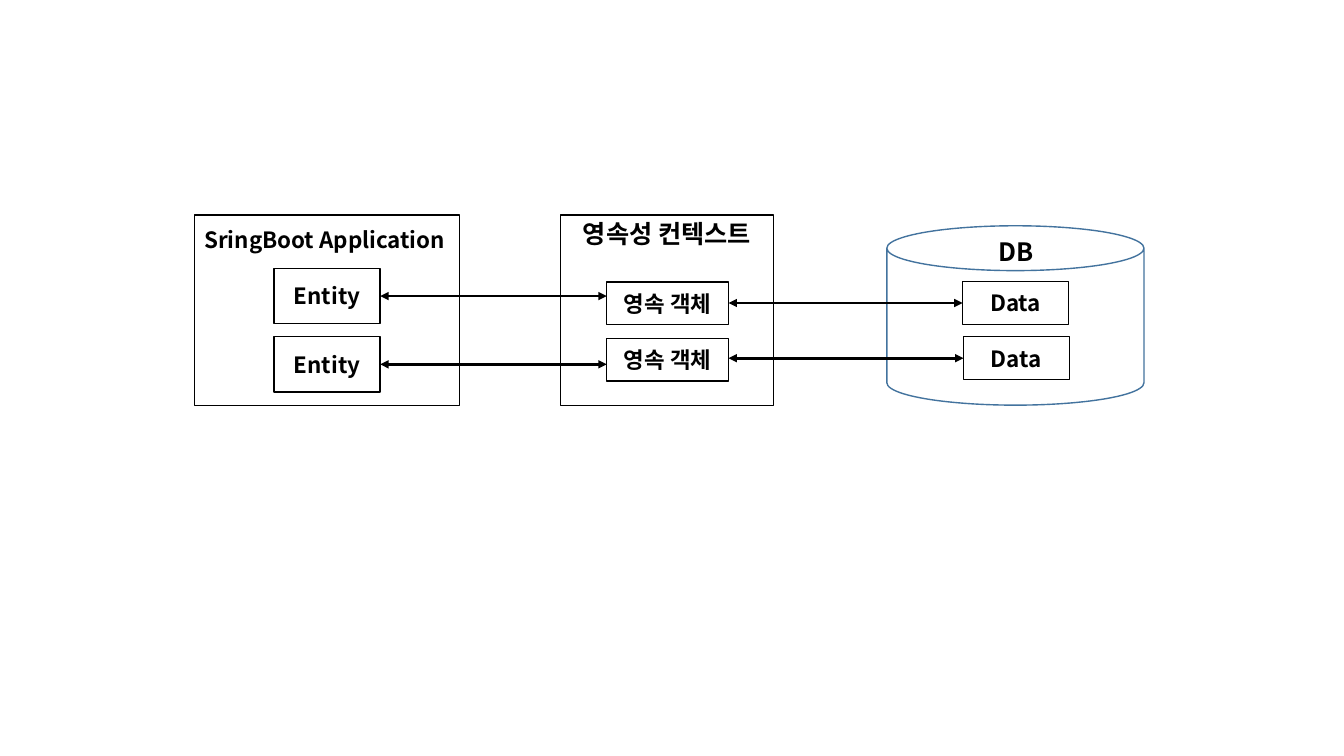
from lxml import etree
from pptx import Presentation
from pptx.dml.color import RGBColor
from pptx.enum.shapes import MSO_CONNECTOR, MSO_SHAPE
from pptx.enum.text import MSO_ANCHOR, PP_ALIGN
from pptx.oxml.ns import qn
from pptx.util import Cm, Pt

BLACK = RGBColor(0x00, 0x00, 0x00)
WHITE = RGBColor(0xFF, 0xFF, 0xFF)
CAN_BLUE = RGBColor(0x43, 0x73, 0x9E)
FONT = "Noto Sans CJK KR"

# Positions and sizes in centimetres: left, top, width, height
PANELS = [
    {"title": "SringBoot Application", "at": (4.9, 5.42, 6.68, 4.8),
     "size": 16, "align": PP_ALIGN.LEFT, "title_top": 0.28},
    {"title": "영속성 컨텍스트", "at": (14.12, 5.42, 5.38, 4.8),
     "size": 18, "align": PP_ALIGN.CENTER, "title_top": 0.08},
]
DATABASE = {"title": "DB", "at": (22.35, 5.69, 6.48, 4.52),
            "title_at": (24.92, 5.82, 1.4, 1.02)}
ENTITIES = [("Entity", (6.91, 6.76, 2.67, 1.4)),
            ("Entity", (6.91, 8.48, 2.67, 1.4))]
PERSISTENT_OBJECTS = [("영속 객체", (15.29, 7.11, 3.07, 1.07)),
                      ("영속 객체", (15.29, 8.53, 3.07, 1.07))]
ROWS = [("Data", (24.26, 7.09, 2.67, 1.09)),
        ("Data", (24.28, 8.48, 2.67, 1.09))]


def lengths(at):
    return [Cm(value) for value in at]


def write(shape, text, size=16, align=PP_ALIGN.CENTER, **frame_format):
    frame = shape.text_frame
    for name, value in {"word_wrap": True, **frame_format}.items():
        setattr(frame, name, value)
    paragraph = frame.paragraphs[0]
    paragraph.alignment = align
    run = paragraph.add_run()
    run.text = text
    for name, value in {"name": FONT, "size": Pt(size), "bold": True}.items():
        setattr(run.font, name, value)
    run.font.color.rgb = BLACK
    # Korean text takes its typeface from the East Asian font slot
    latin = run.font._element.find(qn("a:latin"))
    east_asian = etree.Element(qn("a:ea"), typeface=FONT)
    latin.addnext(east_asian)


def add_outlined(shapes, kind, at, line_color=BLACK):
    shape = shapes.add_shape(kind, *lengths(at))
    shape.shadow.inherit = False
    shape.fill.solid()
    shape.fill.fore_color.rgb = WHITE
    shape.line.color.rgb = line_color
    shape.line.width = Pt(1)
    return shape


def add_boxes(shapes, boxes):
    for text, at in boxes:
        box = add_outlined(shapes, MSO_SHAPE.RECTANGLE, at)
        write(box, text, vertical_anchor=MSO_ANCHOR.MIDDLE)


def add_double_arrow(shapes, left_box, right_box, level_box):
    """Join two boxes horizontally at the middle height of level_box."""
    start = left_box[0] + left_box[2]
    level = level_box[1] + level_box[3] / 2
    arrow = shapes.add_connector(
        MSO_CONNECTOR.STRAIGHT, *lengths((start, level, right_box[0], level)))
    arrow.line.color.rgb = BLACK
    arrow.line.width = Pt(2)
    outline = arrow.line._get_or_add_ln()
    for end in ("a:headEnd", "a:tailEnd"):
        etree.SubElement(outline, qn(end), type="triangle")
    etree.SubElement(arrow._element.spPr, qn("a:effectLst"))


def main():
    deck = Presentation()
    deck.slide_width, deck.slide_height = Cm(33.87), Cm(19.05)
    shapes = deck.slides.add_slide(deck.slide_layouts[6]).shapes

    for panel in PANELS:
        frame = add_outlined(shapes, MSO_SHAPE.RECTANGLE, panel["at"])
        write(frame, panel["title"], panel["size"], panel["align"],
              vertical_anchor=MSO_ANCHOR.TOP,
              margin_top=Cm(panel["title_top"]), margin_right=Cm(0.25))
    add_boxes(shapes, ENTITIES)

    add_outlined(shapes, MSO_SHAPE.CAN, DATABASE["at"], CAN_BLUE)
    database_title = shapes.add_textbox(*lengths(DATABASE["title_at"]))
    write(database_title, DATABASE["title"], 18, PP_ALIGN.LEFT, word_wrap=False)
    add_boxes(shapes, ROWS)

    for (_, entity), (_, persistent), (_, row) in zip(
            ENTITIES, PERSISTENT_OBJECTS, ROWS):
        add_double_arrow(shapes, entity, persistent, level_box=entity)
        add_double_arrow(shapes, persistent, row, level_box=row)
    add_boxes(shapes, PERSISTENT_OBJECTS)

    deck.save("out.pptx")


if __name__ == "__main__":
    main()
